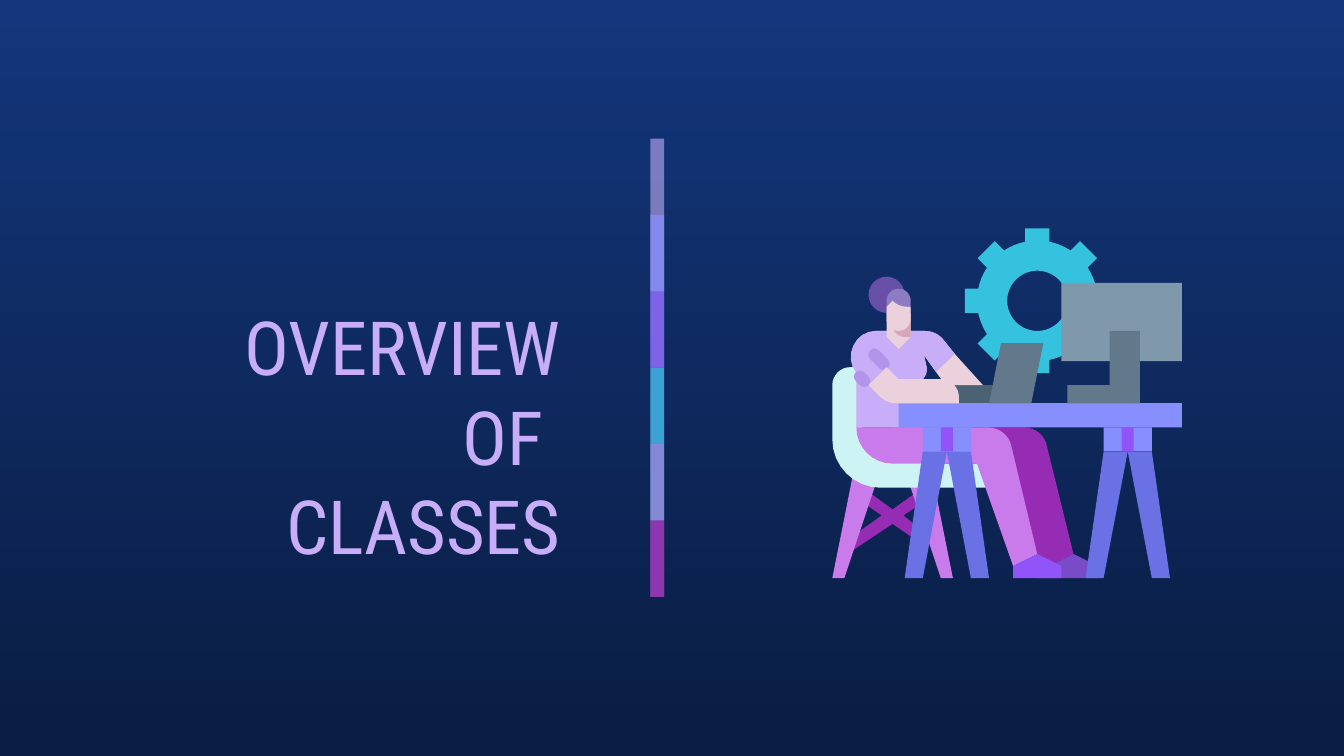
from math import cos, hypot, pi, sin, atan2

from lxml.etree import SubElement
from pptx import Presentation
from pptx.dml.color import RGBColor
from pptx.enum.shapes import MSO_SHAPE
from pptx.enum.text import MSO_ANCHOR, PP_ALIGN
from pptx.oxml.ns import qn
from pptx.util import Pt

COLORS = {
    "sky": "13367C", "night": "0A1D42", "lilac": "C8AEF8", "sleeve": "B394EB",
    "periwinkle": "878FFF", "indigo": "6971E5", "violet": "9154F8",
    "cyan": "35C2DF", "orchid": "CA7BEB", "plum": "972CB4", "shoe": "794BC8",
    "chair": "CEF3F5", "skin": "EAD1DC", "shade": "D5A6BD",
    "bun": "674EA7", "hair": "8E7CC3",
    "keyboard": "4B6275", "steel": "62798C", "screen": "8098AB",
}
LEFT, TOP, UNIT = 445.9, 122.4, 6.46  # the illustration is a grid of 29 x 29 units


def block(kind, color, x, y, w, h):
    """Add a preset shape, measured in grid units."""
    sp = art.add_shape(kind, Pt(LEFT + x * UNIT), Pt(TOP + y * UNIT), Pt(w * UNIT), Pt(h * UNIT))
    sp.shadow.inherit = False
    sp.fill.solid()
    sp.fill.fore_color.rgb = RGBColor.from_string(COLORS[color])
    sp.line.fill.background()
    return sp


def outline(color, *contours):
    """Add a freeform in grid units; a 6-tuple is a cubic curve from the point before."""
    builder = None
    for contour in contours:
        pts = []
        for item in contour:
            if len(item) == 2:
                pts.append(item)
                continue
            x0, y0 = pts[-1]
            x1, y1, x2, y2, x3, y3 = item
            for t in (i / 8 for i in range(1, 9)):
                a, b, c, d = (1 - t) ** 3, 3 * t * (1 - t) ** 2, 3 * t * t * (1 - t), t ** 3
                pts.append((a * x0 + b * x1 + c * x2 + d * x3,
                            a * y0 + b * y1 + c * y2 + d * y3))
        pts = [(Pt(LEFT + x * UNIT), Pt(TOP + y * UNIT)) for x, y in pts]
        if builder is None:
            builder = art.build_freeform(*pts[0])
        else:
            builder.move_to(*pts[0])
        builder.add_line_segments(pts[1:], close=True)
    sp = builder.convert_to_shape()
    sp.shadow.inherit = False
    sp.fill.solid()
    sp.fill.fore_color.rgb = RGBColor.from_string(COLORS[color])
    sp.line.fill.background()


prs = Presentation()
prs.slide_width, prs.slide_height = Pt(720), Pt(405)
s = prs.slides.add_slide(prs.slide_layouts[6])

# Background
fill = s.background.fill
fill.gradient()
fill.gradient_angle = 270
for stop, color, position in zip(fill.gradient_stops, ("sky", "night"), (0, 1)):
    stop.color.rgb = RGBColor.from_string(COLORS[color])
    stop.position = position

# Title
tf = s.shapes.add_textbox(Pt(108.7), Pt(154.1), Pt(198.7), Pt(155.5)).text_frame
frame = {"word_wrap": True, "vertical_anchor": MSO_ANCHOR.TOP, "margin_left": Pt(7.2),
         "margin_right": Pt(7.2), "margin_top": Pt(7.2), "margin_bottom": Pt(7.2)}
for name, value in frame.items():
    setattr(tf, name, value)
p = tf.paragraphs[0]
p.text = "OVERVIEW OF \vCLASSES"
p.alignment = PP_ALIGN.RIGHT
p.line_spacing = Pt(48)
for r in p.runs:
    for name, value in {"name": "Roboto Condensed", "size": Pt(40)}.items():
        setattr(r.font, name, value)
    r.font.color.rgb = RGBColor.from_string(COLORS["lilac"])

art = s.shapes.add_group_shape().shapes

# Gear: eight teeth, two units wide, on a ring of radius 5
rim, hole = [], []
for k in range(8):
    turn = k * pi / 4
    for along, across in ((4.9, -1), (6, -1), (6, 1), (4.9, 1)):
        radius, angle = hypot(along, across), turn + atan2(across, along)
        rim.append((17 + radius * cos(angle), 6 + radius * sin(angle)))
    for step in (3, 4, 5):
        angle = turn + step * pi / 32
        rim.append((17 + 5 * cos(angle), 6 + 5 * sin(angle)))
for k in range(48):
    hole.append((17 + 2.5 * cos(k * pi / 24), 6 - 2.5 * sin(k * pi / 24)))
outline("cyan", rim, hole)

# Keyboard and chair
block(MSO_SHAPE.RECTANGLE, "keyboard", 10, 13, 3.5, 1.5)
outline("plum", [(2.8, 21.7), (2.2, 22.5), (4.1, 23.8), (0.9, 26.1), (1.4, 26.9), (5, 24.5),
                 (6.9, 25.8), (7.4, 25), (5.9, 23.8), (7.7, 22.6), (7.1, 21.8), (5, 23.3)])
outline("orchid", [(6, 20), (9, 29), (10, 29), (8.2, 20)])
outline("orchid", [(1.8, 20), (0, 29), (1, 29), (4, 20)])
outline("chair", [(1.5, 11.5), (0.67, 11.5, 0, 12.17, 0, 13), (0, 17.5),
                  (0, 19.7, 1.8, 21.5, 4, 21.5), (13.5, 21.5), (13.5, 19), (5, 19),
                  (3.6, 19, 2.5, 17.9, 2.5, 16.5), (2.5, 11.5)])

# Far leg and shoe
outline("plum", [(5, 16.5), (5, 18.16, 6.34, 19.5, 8, 19.5), (15, 19.5), (17, 28), (18, 28),
                 (20, 27), (17.8, 18.05), (17.6, 17.1, 16.8, 16.5, 15.9, 16.5)])
outline("shoe", [(20, 27), (18, 28), (17, 28), (17, 29), (22, 29), (22, 28)])

# Torso, with the far forearm showing below the shirt
for color, forearm in (("skin", [(9.4, 13), (12.5, 13)]), ("lilac", [])):
    outline(color, [(3.6, 8.5), (1.9, 8.5, 0.9, 10.6, 2, 12), (2, 16.5), (7.5, 16.5),
                    (7.5, 12.5), (7.8, 12.2, 7.9, 11.7, 7.8, 11.4), (7.6, 10.5), (8.6, 11.9),
                    *forearm, (10.15, 10.4), (9.1, 9.1), (8.7, 8.7, 8.2, 8.5, 7.6, 8.5)])

# Desk top, sleeve stripes, neck and near arm
block(MSO_SHAPE.RECTANGLE, "periwinkle", 5.5, 14.5, 23.5, 2)
for x, y, length in ((2.47, 12.47, 1.5), (3.87, 10.85, 2.1)):
    sp = block(MSO_SHAPE.ROUNDED_RECTANGLE, "sleeve", x - length / 2, y - 0.5, length, 1)
    sp.adjustments[0] = 0.5
    sp.rotation = 45
outline("skin", [(4.5, 7), (4.5, 9), (5.5, 10), (6.5, 9), (6.5, 7)])
outline("skin", [(4.5, 11.5), (3, 13), (3.9, 13.9), (4.3, 14.3, 4.8, 14.5, 5.3, 14.5),
                 (10.5, 14.5), (10.5, 14), (10.5, 13.17, 9.83, 12.5, 9, 12.5), (5.5, 12.5)])

# Laptop lid, near leg and shoe
outline("steel", [(14, 9.5), (13, 14.5), (16.5, 14.5), (17.5, 9.5)])
outline("orchid", [(2, 16.5), (2, 18.16, 3.34, 19.5, 5, 19.5), (12, 19.5), (15, 28), (17, 27),
                   (14.85, 18.05), (14.65, 17.1, 13.8, 16.5, 12.9, 16.5)])
outline("violet", [(17, 27), (15, 28), (15, 29), (19, 29), (19, 28)])

# Monitor
block(MSO_SHAPE.RECTANGLE, "screen", 19, 4.5, 10, 6.5)
outline("steel", [(23, 8.5), (23, 13), (19.5, 13), (19.5, 14.5), (25.5, 14.5), (25.5, 8.5)])

# Trestles
for x in (22.5, 7.5):
    block(MSO_SHAPE.RECTANGLE, "periwinkle", x, 16.5, 4, 2)
    block(MSO_SHAPE.RECTANGLE, "violet", x + 1.5, 16.5, 1, 2)
    outline("indigo", [(x, 18.5), (x - 1.5, 29), (x, 29), (x + 2, 18.5)])
    outline("indigo", [(x + 2, 18.5), (x + 4, 29), (x + 5.5, 29), (x + 4, 18.5)])

# Head
outline("shade", [(5, 7), (5, 8), (5, 8.55, 5.45, 9, 6, 9), (6.5, 9), (6.5, 7)])
block(MSO_SHAPE.OVAL, "bun", 3, 4, 3, 3)
outline("hair", [(5.5, 5), (4.95, 5, 4.5, 5.45, 4.5, 6), (4.5, 7), (6.5, 7), (6.5, 6),
                 (6.5, 5.45, 6.05, 5, 5.5, 5)])
outline("skin", [(5, 6), (4.5, 6.5), (4.5, 7.5), (4.5, 8.05, 4.95, 8.5, 5.5, 8.5),
                 (6.05, 8.5, 6.5, 8.05, 6.5, 7.5), (6.5, 6.5), (6.2, 6.5),
                 (5.7, 6.5, 5.3, 6.3, 5, 6)])

# Divider: translucent bars, each reaching one step under the next
bars = s.shapes.add_group_shape().shapes
step = 40.93
for i, (color, alpha) in enumerate((("lilac", 59), ("periwinkle", 74), ("violet", 53),
                                    ("cyan", 76), ("orchid", 56), ("plum", 74))):
    height = step if i == 5 else 2 * step
    sp = bars.add_shape(MSO_SHAPE.RECTANGLE, Pt(348.4), Pt(74.25 + i * step), Pt(7.4), Pt(height))
    sp.shadow.inherit = False
    sp.fill.solid()
    sp.fill.fore_color.rgb = RGBColor.from_string(COLORS[color])
    sp.line.fill.background()
    rgb = sp.fill._xPr.find(qn("a:solidFill"))[0]
    SubElement(rgb, qn("a:alpha"), val=str(alpha * 1000))

prs.save("out.pptx")
